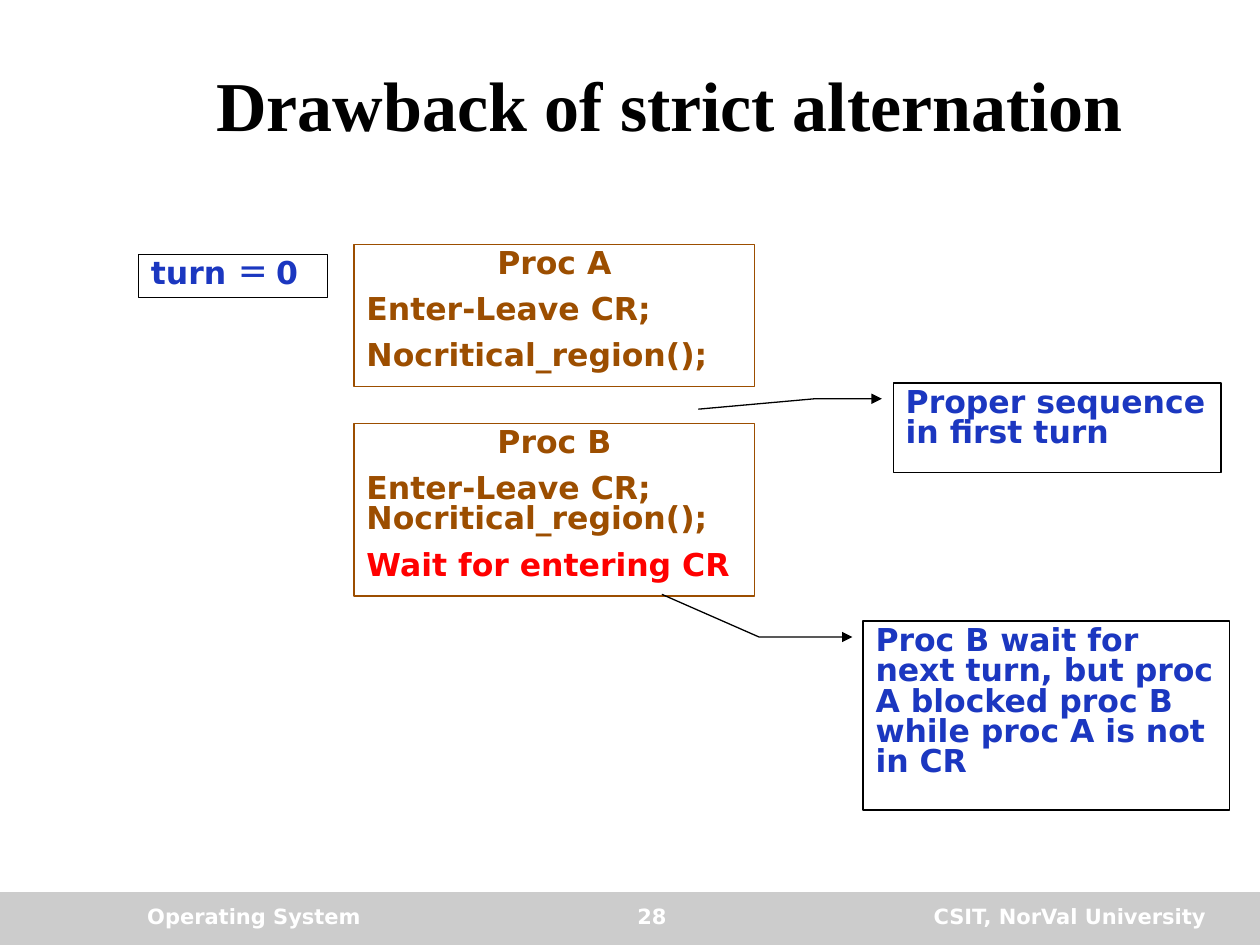
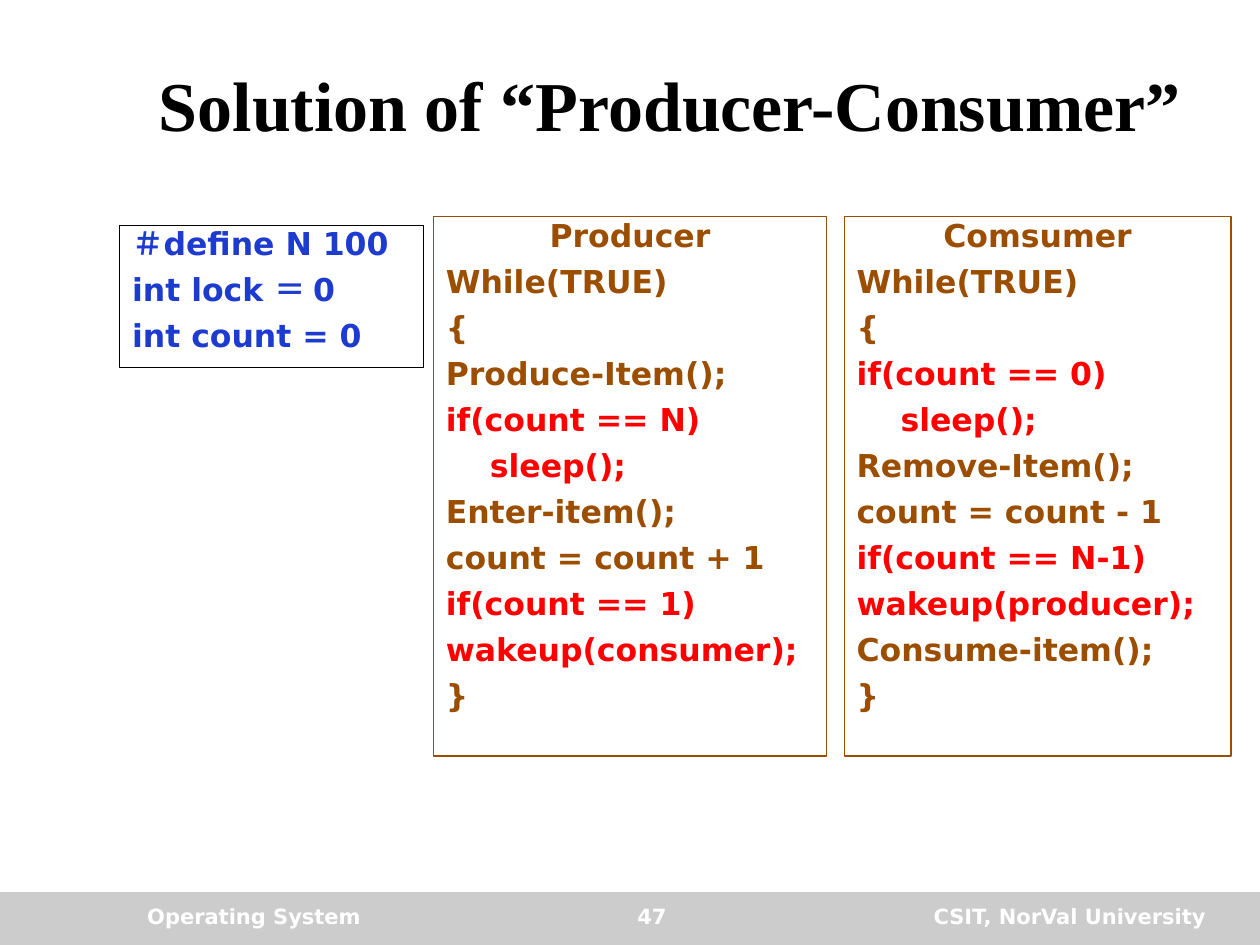
"""Build two operating-system slides: strict alternation and producer-consumer."""
import dataclasses

import lxml.etree
import pptx
import pptx.dml.color
import pptx.enum.shapes
import pptx.enum.text
import pptx.oxml.ns
import pptx.util

Inches = pptx.util.Inches
Pt = pptx.util.Pt
Align = pptx.enum.text.PP_ALIGN
Shape = pptx.enum.shapes.MSO_SHAPE


@dataclasses.dataclass(frozen=True)
class Theme:
    black: str = "000000"
    white: str = "FFFFFF"
    band: str = "CCCCCC"
    brown: str = "9C4E00"
    red: str = "FF0000"
    blue: str = "1B37C0"
    bright_blue: str = "1D3BCE"
    title_font: str = "Times New Roman"
    body_font: str = "DejaVu Sans"
    title_size: int = 40
    body_size: int = 18
    footer_size: int = 12
    outline: float = 0.75
    line_spacing: float = 0.8
    code_gap: int = 9
    code_indent: float = 0.35


theme = Theme()


def style(paragraph, text, color, size, font=theme.body_font, align=Align.LEFT):
    """Fill one paragraph with bold text."""
    paragraph.text = text
    paragraph.alignment = align
    paragraph.font.name = font
    paragraph.font.size = Pt(size)
    paragraph.font.bold = True
    paragraph.font.color.rgb = pptx.dml.color.RGBColor.from_string(color)


def add_box(slide, place, lines, color, outline, heading=None, kind=Shape.RECTANGLE):
    """Add an outlined box; lines starting with ! are red, with > indented."""
    box = slide.shapes.add_shape(kind, *map(Inches, place))
    box.shadow.inherit = False
    box.fill.background()
    box.line.color.rgb = pptx.dml.color.RGBColor.from_string(outline)
    box.line.width = Pt(theme.outline)
    frame = box.text_frame
    frame.word_wrap = True
    frame.vertical_anchor = pptx.enum.text.MSO_ANCHOR.TOP
    texts = ([heading] if heading else []) + lines
    for index, text in enumerate(texts):
        paragraph = frame.add_paragraph() if index else frame.paragraphs[0]
        is_heading = heading is not None and index == 0
        style(paragraph, text.lstrip("!>"), theme.red if text.startswith("!") else color,
              theme.body_size, align=Align.CENTER if is_heading else Align.LEFT)
        paragraph.line_spacing = theme.line_spacing
        paragraph.space_before = Pt(theme.code_gap)
        if text.startswith("!>"):
            paragraph._p.get_or_add_pPr().set("marL", str(Inches(theme.code_indent)))
    return box


deck = pptx.Presentation()
deck.slide_width, deck.slide_height = Inches(10), Inches(7.5)

slides = []
for title, number in (("Drawback of strict alternation", "28"),
                      ("Solution of “Producer-Consumer”", "47")):
    slide = deck.slides.add_slide(deck.slide_layouts.get_by_name("Title Only"))
    slides.append(slide)

    heading = slide.shapes.title
    heading.left, heading.top, heading.width, heading.height = map(Inches, (1.06, 0.33, 8.51, 0.98))
    heading.text_frame.auto_size = pptx.enum.text.MSO_AUTO_SIZE.NONE
    heading.text_frame.vertical_anchor = pptx.enum.text.MSO_ANCHOR.MIDDLE
    style(heading.text_frame.paragraphs[0], title, theme.black, theme.title_size,
          theme.title_font, Align.CENTER)

    band = slide.shapes.add_shape(Shape.RECTANGLE, *map(Inches, (0, 7.08, 10, 0.42)))
    band.shadow.inherit = False
    band.fill.solid()
    band.fill.fore_color.rgb = pptx.dml.color.RGBColor.from_string(theme.band)
    band.line.fill.background()

    for text, left, width, align in (("Operating System", 1.07, 2.75, Align.LEFT),
                                     ("CSIT, NorVal University", 6.5, 3.17, Align.RIGHT),
                                     (number, 4.01, 2.33, Align.CENTER)):
        footer = slide.shapes.add_textbox(*map(Inches, (left, 7.12, width, 0.33)))
        footer.text_frame.word_wrap = True
        style(footer.text_frame.paragraphs[0], text, theme.white, theme.footer_size, align=align)

alternation, producer_consumer = slides

add_box(alternation, (2.81, 1.94, 3.18, 1.13), ["Enter-Leave CR;", "Nocritical_region();"],
        theme.brown, theme.brown, "Proc A")
add_box(alternation, (1.1, 2.02, 1.5, 0.34), ["turn ＝ 0"], theme.blue, theme.black)
add_box(alternation, (2.81, 3.36, 3.18, 1.37),
        ["Enter-Leave CR; Nocritical_region();", "!Wait for entering CR"],
        theme.brown, theme.brown, "Proc B")

for place, text, leader in (
    ((7.09, 3.04, 2.6, 0.71), "Proper sequence in first turn",
     (0.176, -0.035, 0.176, -0.241, 0.292, -0.595)),
    ((6.85, 4.93, 2.91, 1.5),
     "Proc B wait for next turn, but proc A blocked proc B while proc A is not in CR",
     (0.084, -0.029, 0.084, -0.284, -0.142, -0.549)),
):
    callout = add_box(alternation, place, [text], theme.blue, theme.black,
                      kind=Shape.LINE_CALLOUT_2)
    for index, value in enumerate(leader):
        callout.adjustments[index] = value
    outline = callout.line._get_or_add_ln()
    lxml.etree.SubElement(outline, pptx.oxml.ns.qn("a:headEnd"), type="triangle")

add_box(producer_consumer, (3.44, 1.72, 3.12, 4.28),
        ["While(TRUE)", "{", "Produce-Item();", "!if(count == N)", "!>sleep();",
         "Enter-item();", "count = count + 1", "!if(count == 1)",
         "!wakeup(consumer);", "}"],
        theme.brown, theme.brown, "Producer")
add_box(producer_consumer, (0.95, 1.79, 2.41, 1.13),
        ["＃define N 100", "int lock ＝ 0", "int count = 0"],
        theme.bright_blue, theme.black)
add_box(producer_consumer, (6.7, 1.72, 3.07, 4.28),
        ["While(TRUE)", "{", "!if(count == 0)", "!>sleep();", "Remove-Item();",
         "count = count - 1", "!if(count == N-1)", "!wakeup(producer);",
         "Consume-item();", "}"],
        theme.brown, theme.brown, "Comsumer")

deck.save("out.pptx")
